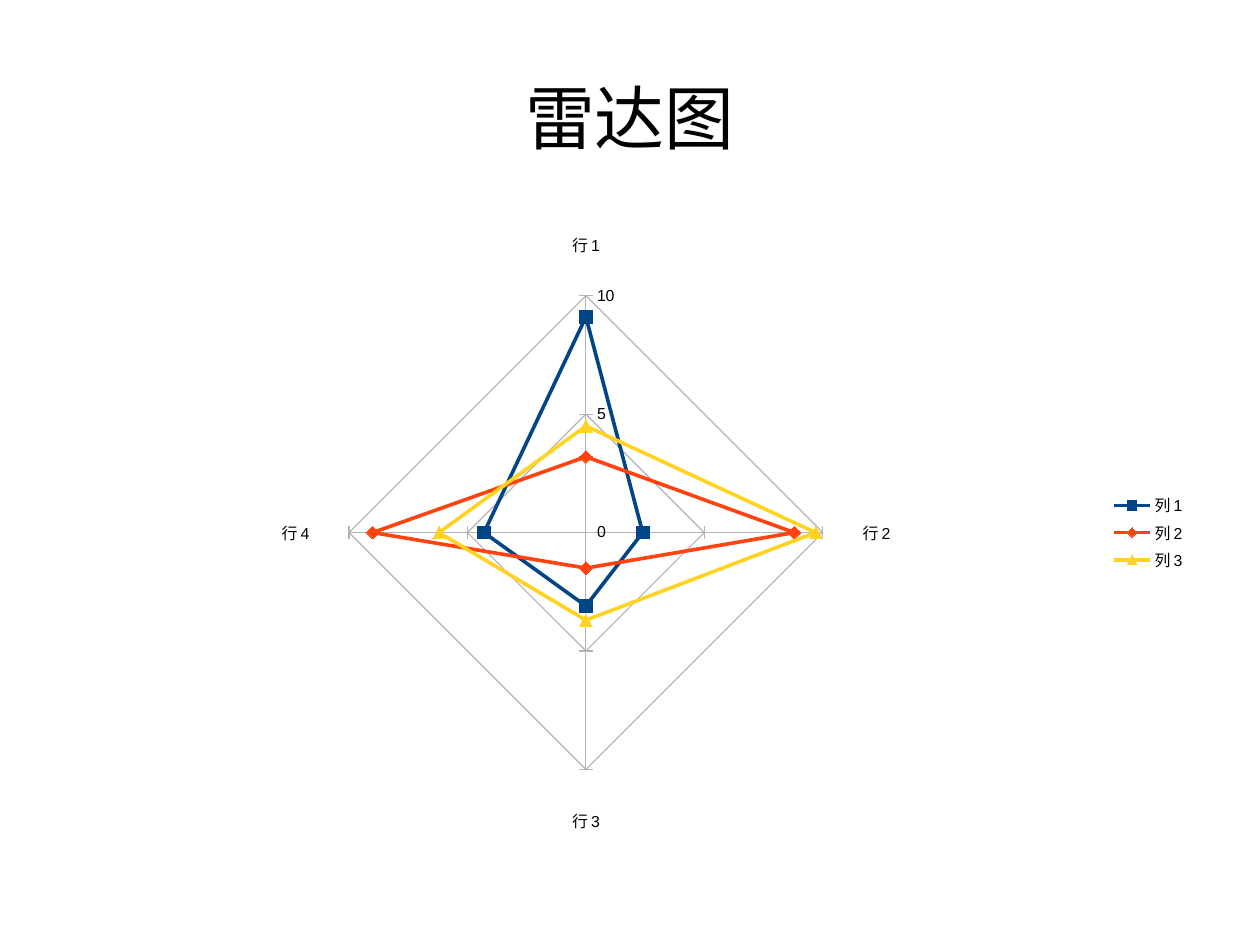
from pptx import Presentation
from pptx.chart.data import CategoryChartData
from pptx.dml.color import RGBColor
from pptx.enum.chart import (XL_CHART_TYPE as ChartType, XL_LEGEND_POSITION as LegendPosition,
                             XL_MARKER_STYLE as Marker, XL_TICK_MARK as TickMark)
from pptx.enum.text import MSO_ANCHOR as Anchor, PP_ALIGN as Align
from pptx.util import Pt

COLORS = {"text": "000000", "grid": "B3B3B3",
          "列 1": "004586", "列 2": "FF420E", "列 3": "FFD320"}
ROWS = ["行 1", "行 2", "行 3", "行 4"]
COLUMNS = {
    "列 1": ([9.1, 2.4, 3.1, 4.3], Marker.SQUARE),
    "列 2": ([3.2, 8.8, 1.5, 9], Marker.DIAMOND),
    "列 3": ([4.5, 9.7, 3.7, 6.2], Marker.TRIANGLE),
}


def rgb(name):
    return RGBColor.from_string(COLORS[name])


def style_line(line, color, width):
    line.color.rgb = rgb(color)
    line.width = Pt(width)


class SlideBuilder:
    """Holds the text style and the current slide."""

    def __init__(self, slide, font="Arial"):
        self.slide = slide
        self.font = font

    def style_font(self, font, size, color="text"):
        font.name = self.font
        font.size = Pt(size)
        font.bold = False
        font.color.rgb = rgb(color)

    def text(self, text, box, size=10, color="text", align=Align.CENTER, anchor=Anchor.MIDDLE):
        frame = self.slide.shapes.add_textbox(*map(Pt, box)).text_frame
        frame.word_wrap = True
        frame.vertical_anchor = anchor
        frame.margin_left = frame.margin_top = frame.margin_right = frame.margin_bottom = 0
        paragraph = frame.paragraphs[0]
        paragraph.alignment = align
        run = paragraph.add_run()
        run.text = text
        self.style_font(run.font, size, color)

    def radar(self, box, rows, columns, size=10):
        data = CategoryChartData()
        data.categories = rows
        for name, (values, _) in columns.items():
            data.add_series(name, values)
        chart = self.slide.shapes.add_chart(
            ChartType.RADAR_MARKERS, *map(Pt, box), data).chart
        chart.has_title = False
        self.style_font(chart.font, size)

        chart.has_legend = True
        chart.legend.position = LegendPosition.RIGHT
        chart.legend.include_in_layout = False
        self.style_font(chart.legend.font, size)

        spokes, scale = chart.category_axis, chart.value_axis
        for axis in (spokes, scale):
            axis.major_tick_mark = TickMark.OUTSIDE
            axis.minor_tick_mark = TickMark.NONE
            style_line(axis.format.line, "grid", 0)
            self.style_font(axis.tick_labels.font, size)
        spokes.has_major_gridlines = False
        scale.has_major_gridlines = True
        style_line(scale.major_gridlines.format.line, "grid", 0)
        scale.minimum_scale, scale.maximum_scale, scale.major_unit = 0, 10, 5

        plot = chart.plots[0]
        plot.vary_by_categories = False
        for series in plot.series:
            style_line(series.format.line, series.name, 2.27)
            marker = series.marker
            marker.style = columns[series.name][1]
            marker.size = 8
            marker.format.fill.solid()
            marker.format.fill.fore_color.rgb = rgb(series.name)
            marker.format.line.color.rgb = rgb(series.name)


def main():
    deck = Presentation()
    deck.slide_width, deck.slide_height = Pt(793.7), Pt(595.28)
    builder = SlideBuilder(deck.slides.add_slide(deck.slide_layouts[6]))
    left, width = 39.68, 714.3
    builder.text("雷达图", (left, 23.76, width, 99.36), size=44)
    builder.radar((left, 139, width, 393), ROWS, COLUMNS)
    deck.save("out.pptx")


if __name__ == "__main__":
    main()
